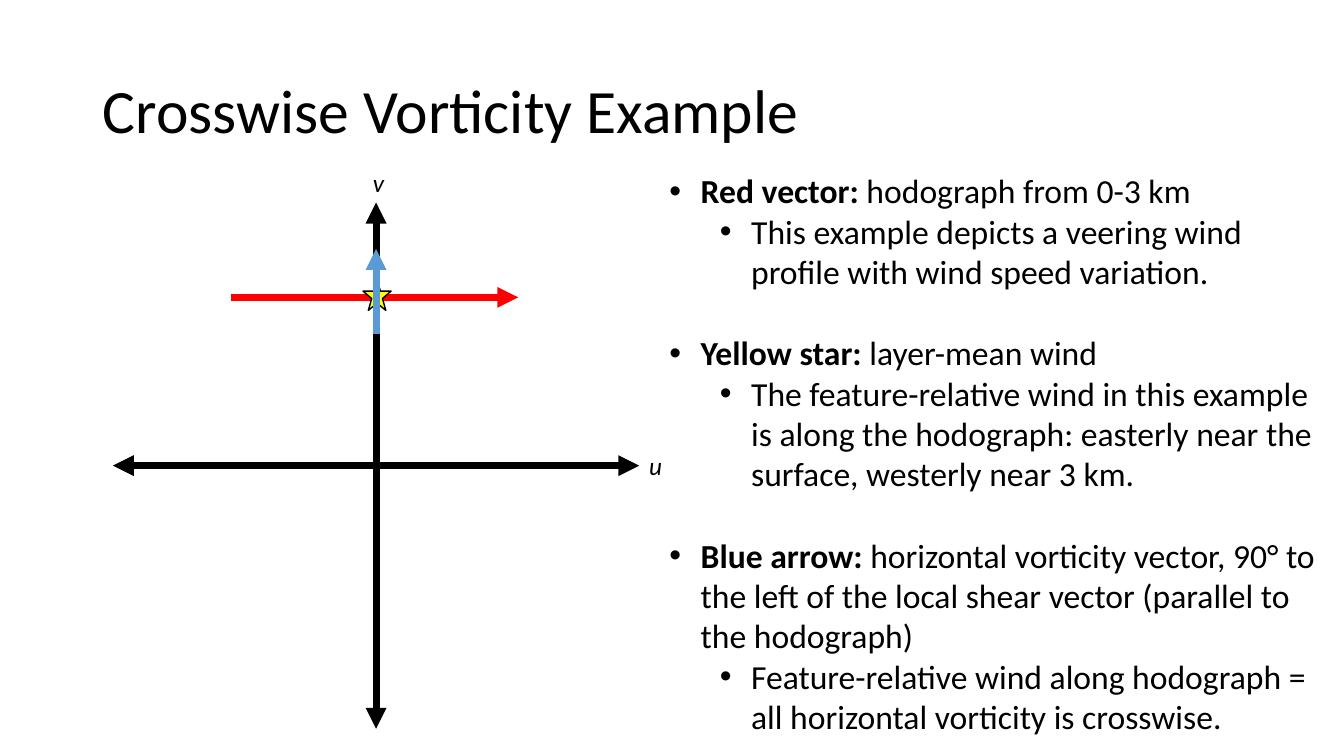
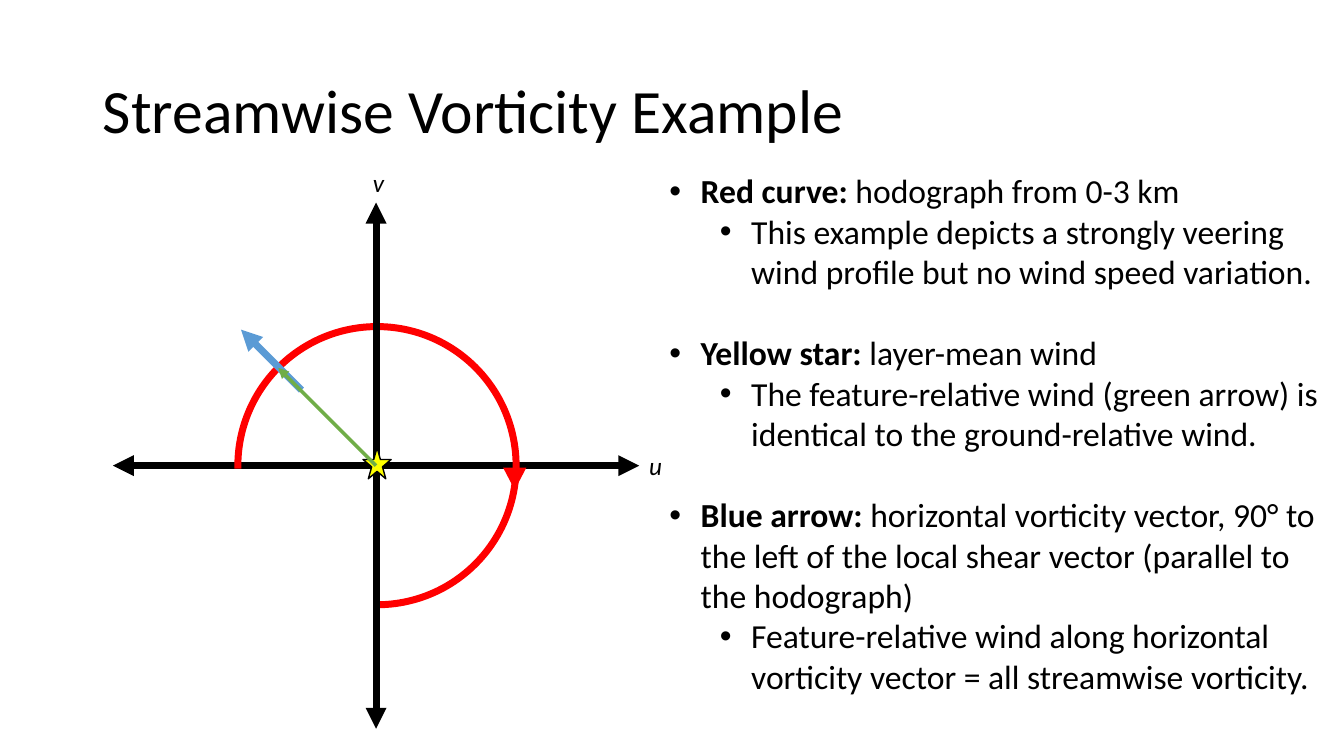
import dataclasses

import lxml.etree
import pptx
import pptx.dml.color
import pptx.enum.shapes
import pptx.enum.text
import pptx.oxml.ns
import pptx.util

SHAPE = pptx.enum.shapes.MSO_SHAPE
ANCHOR = pptx.enum.text.MSO_ANCHOR
ALIGN = pptx.enum.text.PP_ALIGN
FIT = pptx.enum.text.MSO_AUTO_SIZE
qn = pptx.oxml.ns.qn


@dataclasses.dataclass(frozen=True)
class Theme:
    font: str = "Calibri"
    black: str = "000000"
    red: str = "FF0000"
    blue: str = "5B9BD5"
    green: str = "70AD47"
    yellow: str = "FFFF00"
    title: int = 44
    body: int = 24
    label: int = 18
    gap: float = 29.3
    thick: float = 5
    thin: float = 2.5
    edge: float = 1


THEME = Theme()
SCALE = 9144
PAGE = (1333, 750)
HEAD = (92, 40, 1150, 145)
PLOT = (112, 201, 522, 522)
LIST = (654, 164, 669, 576)
RISE = -167

CROSS = [
    ("Red vector:", " hodograph from 0-3 km",
     "This example depicts a veering wind profile with wind speed variation."),
    ("Yellow star:", " layer-mean wind",
     "The feature-relative wind in this example is along the hodograph: "
     "easterly near the surface, westerly near 3 km."),
    ("Blue arrow: ", "horizontal vorticity vector, 90° to the left of the local "
     "shear vector (parallel to the hodograph)",
     "Feature-relative wind along hodograph = all horizontal vorticity is crosswise."),
]
STREAM = [
    ("Red curve:", " hodograph from 0-3 km",
     "This example depicts a strongly veering wind profile but no wind speed variation."),
    ("Yellow star:", " layer-mean wind",
     "The feature-relative wind (green arrow) is identical to the ground-relative wind."),
    (*CROSS[2][:2],
     "Feature-relative wind along horizontal vorticity vector = all streamwise vorticity."),
]


def px(*sizes):
    return [pptx.util.Emu(size * SCALE) for size in sizes]


def rgb(code):
    return pptx.dml.color.RGBColor.from_string(code)


def move(shape, box):
    shape.left, shape.top, shape.width, shape.height = px(*box)


def write(para, text, size, bold=False, slant=False):
    run = para.add_run()
    run.text = text
    font = run.font
    font.name, font.size = THEME.font, pptx.util.Pt(size)
    font.bold, font.italic = bold, slant
    font.color.rgb = rgb(THEME.black)


def arrow(slide, mid, start, end, color, width, double=False):
    x, y = mid
    points = px(x + start[0], y + start[1], x + end[0], y + end[1])
    link = slide.shapes.add_connector(pptx.enum.shapes.MSO_CONNECTOR.STRAIGHT, *points)
    link.line.color.rgb = rgb(color)
    link.line.width = pptx.util.Pt(width)
    props = link.element.spPr
    line = props.find(qn("a:ln"))
    for tag in ("a:headEnd", "a:tailEnd") if double else ("a:tailEnd",):
        lxml.etree.SubElement(line, qn(tag), type="triangle")
    lxml.etree.SubElement(props, qn("a:effectLst"))


def figure(slide, mid, kind, box, fill=None, edge=None, width=THEME.edge):
    x, y = mid
    shape = slide.shapes.add_shape(kind, *px(x + box[0], y + box[1], *box[2:]))
    shape.shadow.inherit = False
    if fill:
        shape.fill.solid()
        shape.fill.fore_color.rgb = rgb(fill)
    else:
        shape.fill.background()
    if edge:
        shape.line.color.rgb = rgb(edge)
        shape.line.width = pptx.util.Pt(width)
    else:
        shape.line.fill.background()
    return shape


def star(slide, mid, rise=0):
    figure(slide, mid, SHAPE.STAR_5_POINT, (-13, rise - 18, 28, 31),
           THEME.yellow, THEME.black)


def label(slide, text, left, top):
    box = slide.shapes.add_textbox(*px(left, top, 28, 40))
    box.text_frame.word_wrap = False
    write(box.text_frame.paragraphs[0], text, THEME.label, slant=True)


def middle(box):
    left, top, width, height = box
    return left + width // 2, top + height // 2


def level(slide, box):
    half = box[2] // 2
    mid = middle(box)
    arrow(slide, mid, (-half, 0), (half, 0), THEME.black, THEME.thick, True)
    label(slide, "u", box[0] + box[2], mid[1] - 20)


def upright(slide, box):
    half = box[3] // 2
    mid = middle(box)
    arrow(slide, mid, (0, half), (0, -half), THEME.black, THEME.thick, True)
    label(slide, "v", mid[0] - 13, box[1] - 40)


def straight(slide, box):
    mid = middle(box)
    upright(slide, box)
    level(slide, box)
    arrow(slide, mid, (-144, RISE), (141, RISE), THEME.red, THEME.thick)
    star(slide, mid, RISE)
    arrow(slide, mid, (0, -131), (0, -215), THEME.blue, THEME.thick)


def curved(slide, box):
    mid = middle(box)
    level(slide, box)
    curve = figure(slide, mid, SHAPE.ARC, (-137, -138, 276, 276),
                   edge=THEME.red, width=THEME.thick)
    curve.adjustments[0], curve.adjustments[1] = 107.25, 54.75
    upright(slide, box)
    star(slide, mid)
    arrow(slide, mid, (-74, -75), (-134, -135), THEME.blue, THEME.thick)
    tip = figure(slide, mid, SHAPE.ISOSCELES_TRIANGLE, (126, 2, 23, 22), THEME.red)
    tip.rotation = 180
    arrow(slide, mid, (0, 0), (-97, -97), THEME.green, THEME.thin)


def header(slide, box, text):
    shape = slide.shapes.title
    move(shape, box)
    frame = shape.text_frame
    frame.auto_size = FIT.NONE
    frame.vertical_anchor = ANCHOR.MIDDLE
    para = frame.paragraphs[0]
    para.alignment = ALIGN.LEFT
    para.line_spacing = 0.9
    write(para, text, THEME.title)


def bullet(para, depth, space):
    para.level = depth
    para.alignment = ALIGN.LEFT
    para.space_before = pptx.util.Pt(space)
    props = para._p.get_or_add_pPr()
    props.set("marL", str((31 + 50 * depth) * SCALE))
    props.set("indent", str(-31 * SCALE))
    lxml.etree.SubElement(props, qn("a:buFont"), typeface="Arial")
    lxml.etree.SubElement(props, qn("a:buChar"), char="•")


def points(slide, box, items):
    shape = slide.placeholders[1]
    move(shape, box)
    frame = shape.text_frame
    frame.auto_size = FIT.NONE
    frame.word_wrap = True
    frame.vertical_anchor = ANCHOR.TOP
    for index, (term, text, detail) in enumerate(items):
        para = frame.add_paragraph() if index else frame.paragraphs[0]
        bullet(para, 0, THEME.gap if index else 0)
        write(para, term, THEME.body, bold=True)
        write(para, text, THEME.body)
        para = frame.add_paragraph()
        bullet(para, 1, 0)
        write(para, detail, THEME.body)


def build(deck, title, draw, items):
    slide = deck.slides.add_slide(deck.slide_layouts[1])
    header(slide, HEAD, title)
    points(slide, LIST, items)
    draw(slide, PLOT)


def main():
    deck = pptx.Presentation()
    deck.slide_width, deck.slide_height = px(*PAGE)
    build(deck, "Crosswise Vorticity Example", straight, CROSS)
    build(deck, "Streamwise Vorticity Example", curved, STREAM)
    deck.save("out.pptx")


if __name__ == "__main__":
    main()
